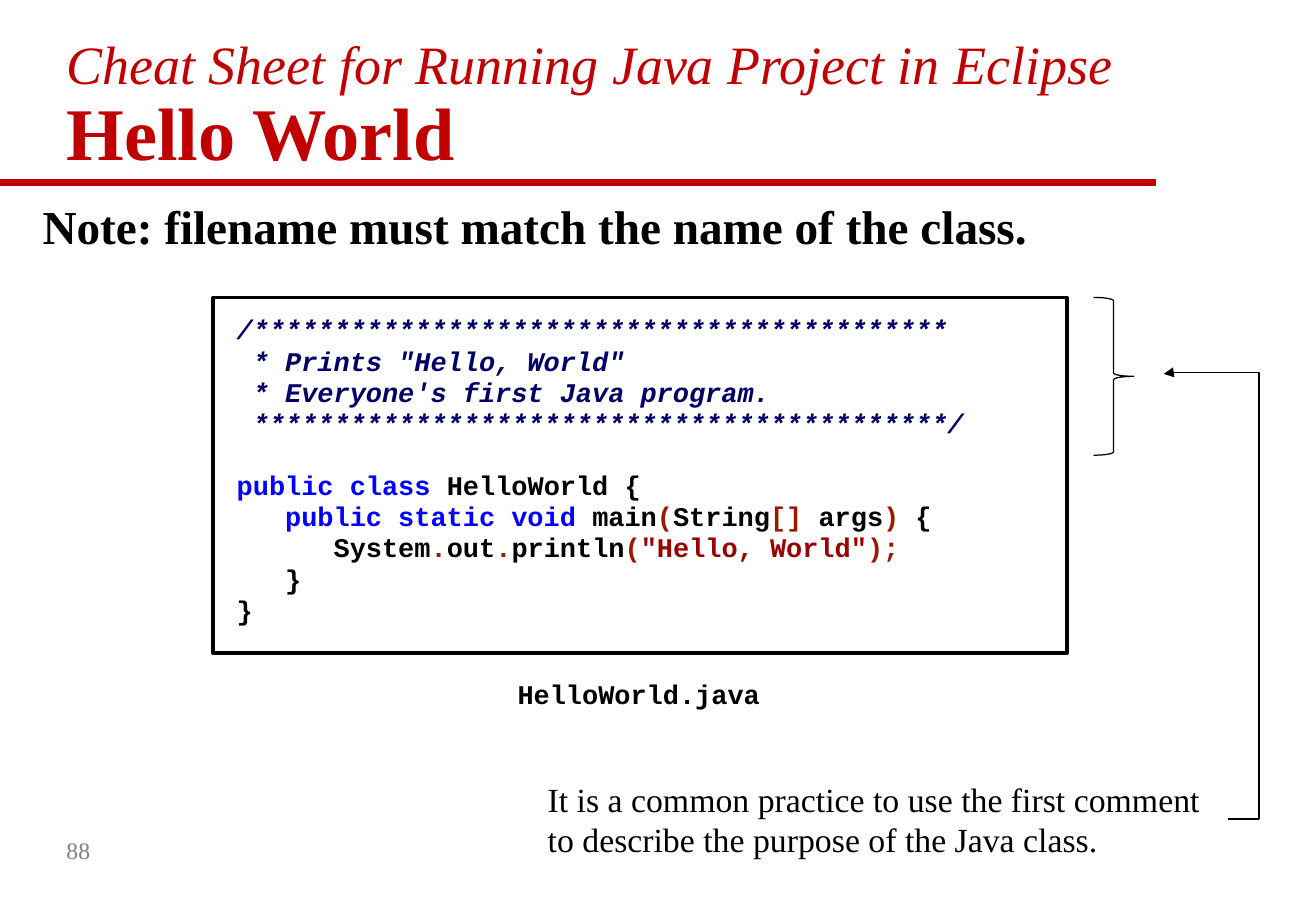
from dataclasses import dataclass

import lxml.etree
import pptx
import pptx.dml.color
import pptx.enum.shapes
import pptx.enum.text
import pptx.oxml
import pptx.oxml.ns
import pptx.util

Cm = pptx.util.Cm
Pt = pptx.util.Pt
qn = pptx.oxml.ns.qn
Shape = pptx.enum.shapes.MSO_SHAPE
Link = pptx.enum.shapes.MSO_CONNECTOR
Anchor = pptx.enum.text.MSO_ANCHOR


@dataclass(frozen=True)
class Theme:
    serif: str = "Times New Roman"
    mono: str = "Courier New"
    red: str = "C00000"
    black: str = "000000"
    white: str = "FFFFFF"
    gray: str = "808080"
    doc: str = "000066"
    key: str = "0000FF"
    sign: str = "9A1900"
    quote: str = "990000"
    topic: int = 32
    title: int = 44
    note: int = 28
    body: int = 20
    code: int = 16
    page: int = 14


T = Theme()

COMMENT = [
    "/" + "*" * 43,
    ' * Prints "Hello, World"',
    " * Everyone's first Java program.",
    " " + "*" * 43 + "/",
]
PROGRAM = [
    [("public class ", T.key), ("HelloWorld {", T.black)],
    [("   public static void", T.key), (" main", T.black), ("(", T.sign),
     ("String", T.black), ("[] ", T.sign), ("args", T.black),
     (")", T.sign), (" {", T.black)],
    [("      System", T.black), (".", T.sign), ("out", T.black),
     (".", T.sign), ("println", T.black), ("(", T.sign),
     ('"Hello, World"', T.quote), (");", T.sign)],
    [("   }", T.black)],
    [("}", T.black)],
]


def rgb(code):
    return pptx.dml.color.RGBColor.from_string(code)


def style(run, size, color, face=T.serif, bold=False, slant=False):
    font = run.font
    font.name, font.size = face, Pt(size)
    font.bold, font.italic = bold, slant
    font.color.rgb = rgb(color)


def label(slide, box, text, size, color=T.black, face=T.serif, bold=False,
          anchor=Anchor.TOP):
    frame = slide.shapes.add_textbox(*map(Cm, box)).text_frame
    frame.word_wrap = True
    frame.vertical_anchor = anchor
    frame.text = text
    for run in frame.paragraphs[0].runs:
        style(run, size, color, face, bold)
    return frame


def stroke(line, width, color=T.black):
    line.color.rgb = rgb(color)
    line.width = Pt(width)


def wire(slide, kind, start, end, width, color=T.black):
    link = slide.shapes.add_connector(kind, *map(Cm, start + end))
    stroke(link.line, width, color)
    lxml.etree.SubElement(link._element.spPr, qn("a:effectLst"))
    return link


def header(slide, box):
    left, top, width, height = box
    base = top + height
    wire(slide, Link.STRAIGHT, (0, base), (24.16, base), 4, T.red)
    text = "Cheat Sheet for Running Java Project in Eclipse\vHello World"
    frame = label(slide, box, text, T.title, T.red, bold=True,
                  anchor=Anchor.BOTTOM)
    para = frame.paragraphs[0]
    para.line_spacing = 0.9
    style(para.runs[0], T.topic, T.red, slant=True)


def listing(slide, box):
    """Draw the framed code, its file name and the brace by the comment."""
    left, top, width, height = box
    panel = slide.shapes.add_shape(Shape.RECTANGLE, *map(Cm, box))
    panel.shadow.inherit = False
    panel.fill.solid()
    panel.fill.fore_color.rgb = rgb(T.white)
    stroke(panel.line, 2)

    frame = panel.text_frame
    frame.word_wrap = True
    frame.vertical_anchor = Anchor.TOP
    frame.margin_left = frame.margin_right = Cm(0.5)
    frame.margin_top = frame.margin_bottom = Cm(0.36)
    lines = [[(text, T.doc)] for text in COMMENT] + PROGRAM
    for i, line in enumerate(lines):
        para = frame.add_paragraph() if i else frame.paragraphs[0]
        para.alignment = pptx.enum.text.PP_ALIGN.LEFT
        para.line_spacing = 0.97
        if i == len(COMMENT):
            para.space_before = Pt(17.6)
        for text, color in line:
            run = para.add_run()
            run.text = text
            style(run, T.code, color, T.mono, True, color == T.doc)

    label(slide, (left + 6.12, top + height + 0.39, 6.63, 0.97),
          "HelloWorld.java", T.code, face=T.mono, bold=True)
    brace = slide.shapes.add_shape(
        Shape.RIGHT_BRACE, Cm(left + width + 0.55), Cm(top), Cm(0.84), Cm(3.3))
    brace.shadow.inherit = False
    brace.fill.background()
    stroke(brace.line, 0.75)


def remark(slide, box, target):
    """Write the advice and lead an arrow from its right side to target."""
    left, top, width, height = box
    label(slide, box, "It is a common practice to use the first comment "
          "to describe the purpose of the Java class.", T.body)
    start = (left + width + 0.03, top + height / 2)
    link = wire(slide, Link.ELBOW, start, target, 0.75)
    geom = link._element.spPr.find(qn("a:prstGeom"))
    geom.set("prst", "bentConnector4")
    guides = geom.get_or_add_avLst()
    for name, value in (("adj1", -47300), ("adj2", 100300)):
        lxml.etree.SubElement(guides, qn("a:gd"), name=name,
                              fmla=f"val {value}")
    line = link.line._get_or_add_ln()
    lxml.etree.SubElement(line, qn("a:tailEnd"), type="triangle")


def main():
    deck = pptx.Presentation()
    deck.slide_width, deck.slide_height = Cm(27.51), Cm(19.05)
    slide = deck.slides.add_slide(deck.slide_layouts[6])
    header(slide, (1.14, 0.74, 25.1, 3.07))
    label(slide, (0.64, 4.01, 23.7, 1.45),
          "Note: filename must match the name of the class.",
          T.note, bold=True)
    listing(slide, (4.45, 6.22, 17.86, 7.44))
    remark(slide, (11.2, 16.15, 14.45, 1.96), (24.33, 7.82))
    label(slide, (1.14, 17.15, 5.74, 1.27), "88", T.page, T.gray,
          anchor=Anchor.MIDDLE)
    deck.save("out.pptx")


if __name__ == "__main__":
    main()
